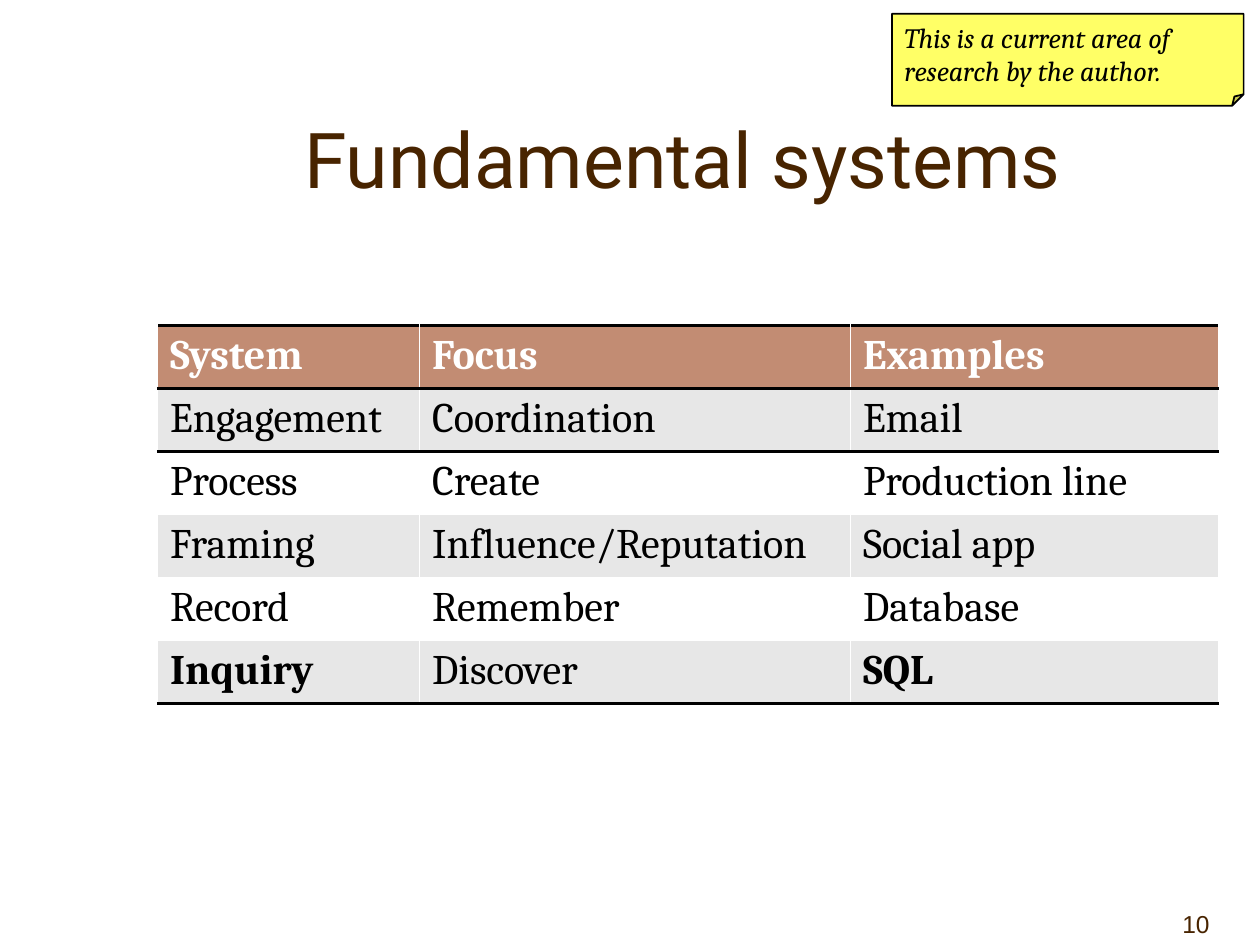
from dataclasses import dataclass

from lxml.etree import SubElement
from pptx import Presentation
from pptx.dml.color import RGBColor
from pptx.enum.shapes import MSO_SHAPE
from pptx.enum.text import MSO_ANCHOR, PP_ALIGN
from pptx.oxml.ns import qn
from pptx.util import Inches, Pt

BROWN = RGBColor(0x48, 0x24, 0x00)
CLAY = RGBColor(0xC2, 0x8C, 0x73)
GREY = RGBColor(0xE7, 0xE7, 0xE7)
WHITE = RGBColor(0xFF, 0xFF, 0xFF)
BLACK = RGBColor(0x00, 0x00, 0x00)
YELLOW = RGBColor(0xFF, 0xFF, 0x66)

COLUMN_WIDTHS = (2.08, 3.42, 2.92)
ROW_HEIGHT = 0.48
RULE_WIDTH = Pt(2)


@dataclass(frozen=True)
class System:
    name: str
    focus: str
    example: str
    emphasized: bool = False


HEADER = System("System", "Focus", "Examples", True)
SYSTEMS = (
    System("Engagement", "Coordination", "Email"),
    System("Process", "Create", "Production line"),
    System("Framing", "Influence/Reputation", "Social app"),
    System("Record", "Remember", "Database"),
    System("Inquiry", "Discover", "SQL", True),
)


def style_text(shape, text: str, font_name: str, size: int, color: RGBColor,
               alignment: PP_ALIGN, anchor: MSO_ANCHOR):
    frame = shape.text_frame
    frame.word_wrap = True
    shape_anchor = shape if hasattr(shape, "is_merge_origin") else frame
    shape_anchor.vertical_anchor = anchor
    frame.text = text
    paragraph = frame.paragraphs[0]
    paragraph.alignment = alignment
    font = paragraph.font
    font.name, font.size, font.color.rgb = font_name, Pt(size), color
    return font


def place(shape, left: float, top: float, width: float, height: float) -> None:
    shape.left, shape.top = Inches(left), Inches(top)
    shape.width, shape.height = Inches(width), Inches(height)


def add_rule(cell, edge: str, position: int) -> None:
    properties = cell._tc.get_or_add_tcPr()
    line = SubElement(properties, qn(f"a:{edge}"), w=str(RULE_WIDTH))
    fill = SubElement(line, qn("a:solidFill"))
    SubElement(fill, qn("a:srgbClr"), val=str(BLACK))
    properties.insert(position, line)


def fill_cell(cell, text: str, fill: RGBColor, color: RGBColor, bold: bool) -> None:
    cell.fill.solid()
    cell.fill.fore_color.rgb = fill
    font = style_text(cell, text, "Cambria", 24, color, PP_ALIGN.LEFT, MSO_ANCHOR.TOP)
    font.bold = bold


def add_systems_table(slide) -> None:
    rows = (HEADER, *SYSTEMS)
    table = slide.shapes.add_table(
        len(rows), len(COLUMN_WIDTHS), Inches(1.25), Inches(2.58),
        Inches(sum(COLUMN_WIDTHS)), Inches(ROW_HEIGHT * len(rows))).table
    table.horz_banding = False
    for column, width in zip(table.columns, COLUMN_WIDTHS):
        column.width = Inches(width)
    for index, system in enumerate(rows):
        is_header = index == 0
        fill = CLAY if is_header else GREY if index % 2 else WHITE
        color = WHITE if is_header else BLACK
        for column, text in enumerate((system.name, system.focus, system.example)):
            cell = table.cell(index, column)
            bold = is_header or (system.emphasized and column != 1)
            fill_cell(cell, text, fill, color, bold)
            if is_header:
                add_rule(cell, "lnT", 0)
            if is_header or index == len(rows) - 1:
                add_rule(cell, "lnB", int(is_header))
            elif index == 1:
                add_rule(cell, "lnT", 0)


def add_note(slide, text: str) -> None:
    note = slide.shapes.add_shape(
        MSO_SHAPE.FOLDED_CORNER, Inches(7.08), Inches(0.11), Inches(2.79), Inches(0.73))
    geometry = note._element.spPr.find(qn("a:prstGeom"))
    guides = geometry.find(qn("a:avLst"))
    if guides is None:
        guides = SubElement(geometry, qn("a:avLst"))
    SubElement(guides, qn("a:gd"), name="adj", fmla="val 12500")
    note.shadow.inherit = False
    note.fill.solid()
    note.fill.fore_color.rgb = YELLOW
    note.line.color.rgb = BLACK
    note.line.width = Pt(1)
    font = style_text(note, text, "Cambria", 16, BLACK, PP_ALIGN.LEFT, MSO_ANCHOR.MIDDLE)
    font.italic = True


def main() -> None:
    presentation = Presentation()
    presentation.slide_width, presentation.slide_height = Inches(10), Inches(7.5)
    slide = presentation.slides.add_slide(presentation.slide_layouts[5])
    title = slide.shapes.title
    place(title, 1.17, 0.42, 8.5, 1.25)
    style_text(title, "Fundamental systems", "Roboto", 44, BROWN,
               PP_ALIGN.CENTER, MSO_ANCHOR.BOTTOM)
    number = slide.shapes.add_textbox(Inches(9), Inches(7), Inches(1), Inches(0.5))
    number.text_frame.margin_right = Inches(0.4)
    style_text(number, "10", "Arial", 14, BROWN, PP_ALIGN.RIGHT, MSO_ANCHOR.BOTTOM)
    add_systems_table(slide)
    add_note(slide, "This is a current area of research by the author.")
    presentation.save("out.pptx")


if __name__ == "__main__":
    main()
